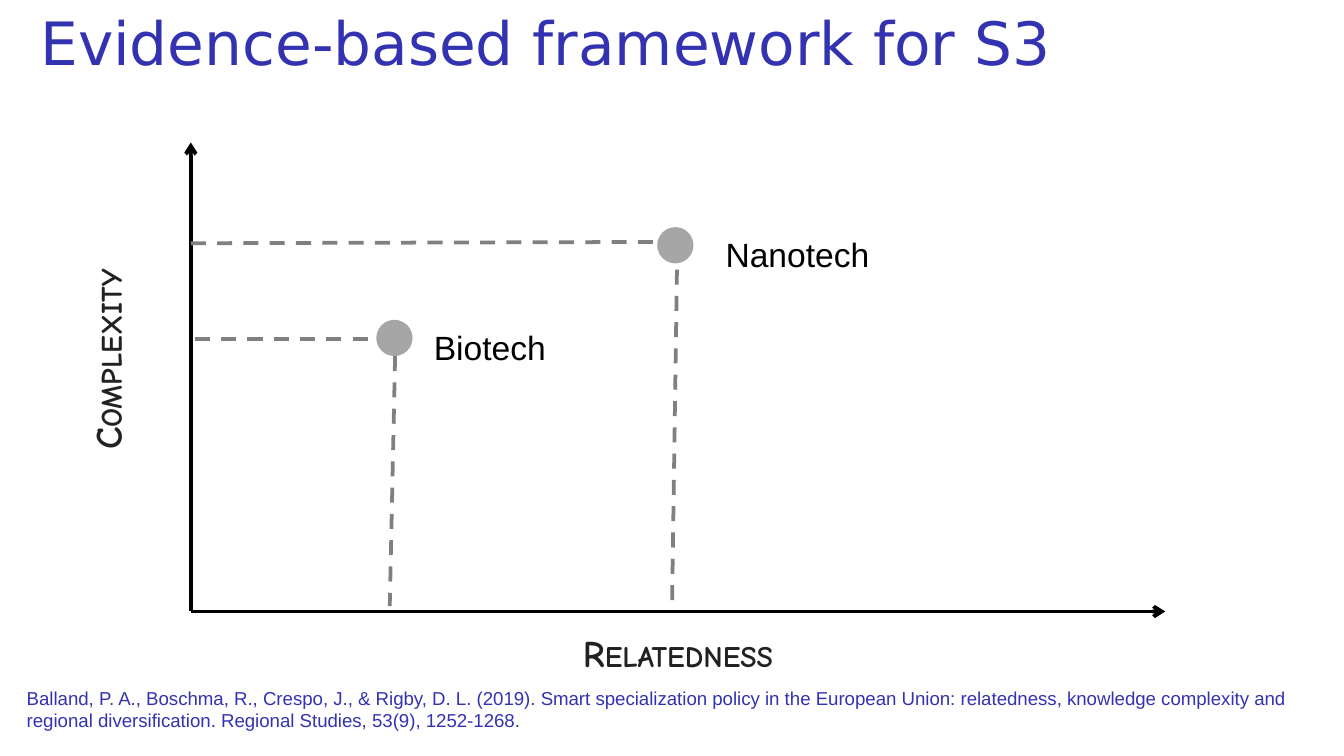
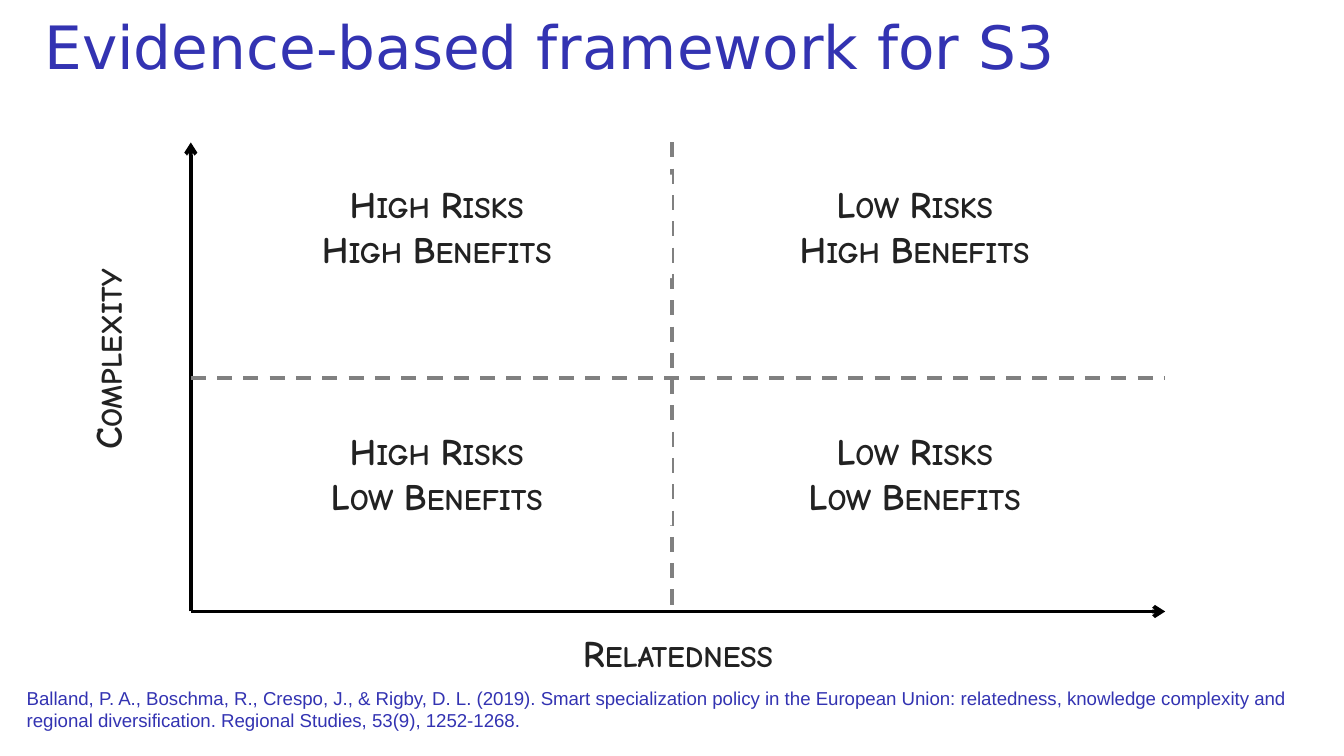
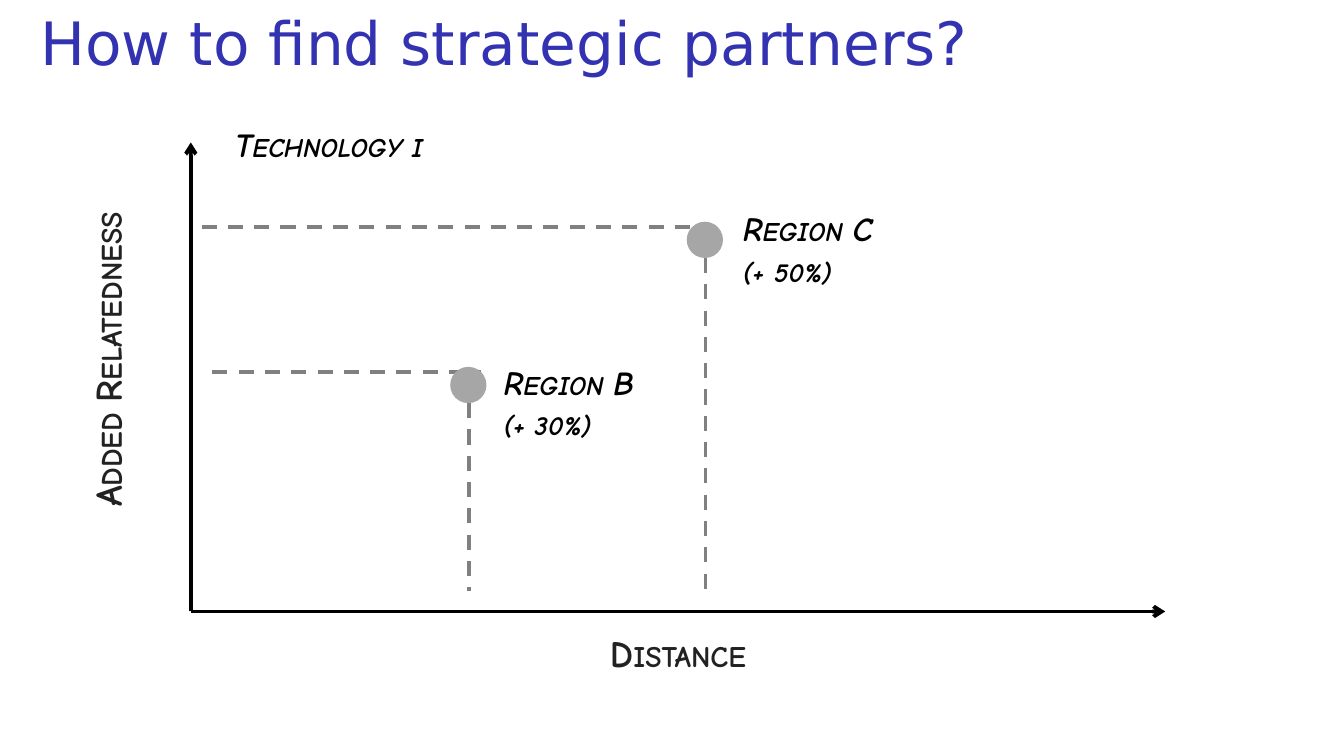
from pptx import Presentation
from pptx.dml.color import RGBColor
from pptx.enum.dml import MSO_LINE
from pptx.enum.shapes import MSO_CONNECTOR, MSO_SHAPE
from pptx.enum.text import MSO_ANCHOR, MSO_AUTO_SIZE, PP_ALIGN
from pptx.oxml.ns import qn
from pptx.util import Inches, Pt
from lxml.etree import SubElement

# Shared palette, fonts and plot geometry (inches)
BLUE, BLACK, INK = "3333B2", "000000", "222222"
GUIDE_GREY, DOT_GREY, WHITE = "808080", "A6A6A6", "FFFFFF"
TITLE_FONT, BODY_FONT, HAND_FONT = "DejaVu Sans", "Arial", "Comic Neue"
SLIDE_WIDTH = 10
SLIDE_HEIGHT = SLIDE_WIDTH * 9 / 16
AXIS_LEFT, AXIS_RIGHT, AXIS_TOP, AXIS_BOTTOM = 1.42, 8.67, 1.06, 4.55
DOT_SIZE = 0.27

FRAMEWORK_TITLE = "Evidence-based framework for S3"
REFERENCE = (
    "Balland, P. A., Boschma, R., Crespo, J., & Rigby, D. L. (2019). "
    "Smart specialization policy in the European Union: relatedness, knowledge "
    "complexity and regional diversification. Regional Studies, 53(9), 1252-1268."
)
LABEL_STYLE = dict(font=HAND_FONT, size=20, color=INK, bold=True,
                   small_caps=True, align=PP_ALIGN.CENTER)
REGION_STYLE = dict(font=HAND_FONT, size=18, color=BLACK, bold=True,
                    italic=True, small_caps=True)
TECH_STYLE = dict(font=BODY_FONT, size=18, color=BLACK)


def rgb(color):
    return RGBColor.from_string(color)


def write_text(text_frame, text, font, size, color, bold=False, italic=False,
               small_caps=False, align=PP_ALIGN.LEFT):
    """Fill a text frame, one paragraph for each line of text."""
    for index, line in enumerate(text.split("\n")):
        paragraph = text_frame.paragraphs[0] if index == 0 else text_frame.add_paragraph()
        paragraph.alignment = align
        run = paragraph.add_run()
        run.text = line
        run.font.name, run.font.size = font, Pt(size)
        run.font.bold, run.font.italic = bold, italic
        run.font.color.rgb = rgb(color)
        if small_caps:
            run.font._element.set("cap", "small")


def add_title(slide, text, left=0, top=0):
    title = slide.shapes.title
    title.left, title.top = Inches(left), Inches(top)
    title.width, title.height = Inches(9.75), Inches(0.62)
    text_frame = title.text_frame
    text_frame.auto_size = MSO_AUTO_SIZE.NONE
    text_frame.vertical_anchor = MSO_ANCHOR.MIDDLE
    write_text(text_frame, text, TITLE_FONT, 32, BLUE)
    properties = text_frame.paragraphs[0]._p.get_or_add_pPr()
    properties.set("marL", str(Inches(0.2)))
    properties.set("indent", "0")


def add_text(slide, text, left, top, width, height, wrap=False, **style):
    box = slide.shapes.add_textbox(Inches(left), Inches(top), Inches(width), Inches(height))
    box.text_frame.word_wrap = wrap
    box.text_frame.auto_size = MSO_AUTO_SIZE.SHAPE_TO_FIT_TEXT
    write_text(box.text_frame, text, **style)


def add_filled_shape(slide, kind, color, left, top, width, height):
    shape = slide.shapes.add_shape(kind, Inches(left), Inches(top),
                                   Inches(width), Inches(height))
    shape.shadow.inherit = False
    shape.fill.solid()
    shape.fill.fore_color.rgb = rgb(color)
    shape.line.fill.background()
    return shape


def add_label(slide, text, left, top, width, height, vertical=False):
    """White panel with a centred small-caps label."""
    label = add_filled_shape(slide, MSO_SHAPE.RECTANGLE, WHITE, left, top, width, height)
    text_frame = label.text_frame
    text_frame.word_wrap = True
    text_frame.auto_size = MSO_AUTO_SIZE.SHAPE_TO_FIT_TEXT
    text_frame.vertical_anchor = MSO_ANCHOR.TOP
    if vertical:
        text_frame._txBody.bodyPr.set("vert", "vert270")
    write_text(text_frame, text, **LABEL_STYLE)


def add_line(slide, start, end, color):
    line = slide.shapes.add_connector(MSO_CONNECTOR.STRAIGHT,
                                      *map(Inches, start), *map(Inches, end))
    line.line.color.rgb = rgb(color)
    line.line.width = Pt(2)
    SubElement(line._element.spPr, qn("a:effectLst"))
    return line


def add_guide(slide, start, end):
    add_line(slide, start, end, GUIDE_GREY).line.dash_style = MSO_LINE.DASH


def add_axes(slide, horizontal, vertical):
    origin = (AXIS_LEFT, AXIS_BOTTOM)
    for end in ((AXIS_LEFT, AXIS_TOP), (AXIS_RIGHT, AXIS_BOTTOM)):
        axis = add_line(slide, origin, end, BLACK)
        SubElement(axis.line._get_or_add_ln(), qn("a:tailEnd"), type="arrow")
    add_label(slide, horizontal, AXIS_LEFT, 4.64, AXIS_RIGHT - AXIS_LEFT, 0.44)
    add_label(slide, vertical, 0.58, 0.83, 0.54, 3.69, vertical=True)


def add_point(slide, left, top, guides):
    """Dot with its dashed guides towards the two axes."""
    for start, end in guides:
        add_guide(slide, start, end)
    add_filled_shape(slide, MSO_SHAPE.OVAL, DOT_GREY, left, top, DOT_SIZE, DOT_SIZE)


def add_reference(slide):
    add_text(slide, REFERENCE, 0.1, 5.06, 9.75, 0.44, wrap=True,
             font=BODY_FONT, size=10, color=BLUE)


def build_technologies(slide):
    add_title(slide, FRAMEWORK_TITLE)
    add_axes(slide, "Relatedness", "Complexity")
    add_point(slide, 4.89, 1.69, [((AXIS_LEFT, 1.81), (4.99, 1.8)),
                                  ((5.04, 1.81), (5, 4.53))])
    add_text(slide, "Nanotech", 5.3, 1.69, 1.28, 0.4, **TECH_STYLE)
    add_point(slide, 2.8, 2.38, [((1.45, 2.52), (2.8, 2.52)),
                                 ((2.94, 2.65), (2.9, 4.51))])
    add_text(slide, "Biotech", 3.13, 2.38, 1.04, 0.4, **TECH_STYLE)
    add_reference(slide)


def build_quadrants(slide):
    add_title(slide, FRAMEWORK_TITLE, 0.03, 0.03)
    add_axes(slide, "Relatedness", "Complexity")
    add_guide(slide, (AXIS_LEFT, 2.81), (AXIS_RIGHT, 2.81))
    add_guide(slide, (5, AXIS_TOP), (5, 4.53))
    for risk, left, width in (("High", 1.5, 3.5), ("Low", 5.25, 3.11)):
        for benefit, top in (("High", 1.3), ("Low", 3.14)):
            add_label(slide, f"{risk} Risks\n{benefit} Benefits", left, top, width, 0.77)
    add_reference(slide)


def build_partners(slide):
    add_title(slide, "How to find strategic partners?")
    add_axes(slide, "Distance", "Added Relatedness")
    add_text(slide, "Technology i", 1.65, 0.87, 1.86, 0.4, **REGION_STYLE)
    add_point(slide, 3.35, 2.73, [((1.58, 2.77), (3.58, 2.77)),
                                  ((3.49, 3), (3.49, 4.4))])
    add_text(slide, "Region B\n(+ 30%)", 3.65, 2.64, 1.44, 0.71, **REGION_STYLE)
    add_point(slide, 5.11, 1.65, [((1.5, 1.69), (5.34, 1.69)),
                                  ((5.25, 1.92), (5.25, 4.4))])
    add_text(slide, "Region C\n(+ 50%)", 5.43, 1.5, 1.44, 0.71, **REGION_STYLE)


def main():
    presentation = Presentation()
    presentation.slide_width = Inches(SLIDE_WIDTH)
    presentation.slide_height = Inches(SLIDE_HEIGHT)
    title_only = presentation.slide_layouts[5]
    for build in (build_technologies, build_quadrants, build_partners):
        build(presentation.slides.add_slide(title_only))
    presentation.save("out.pptx")


if __name__ == "__main__":
    main()
